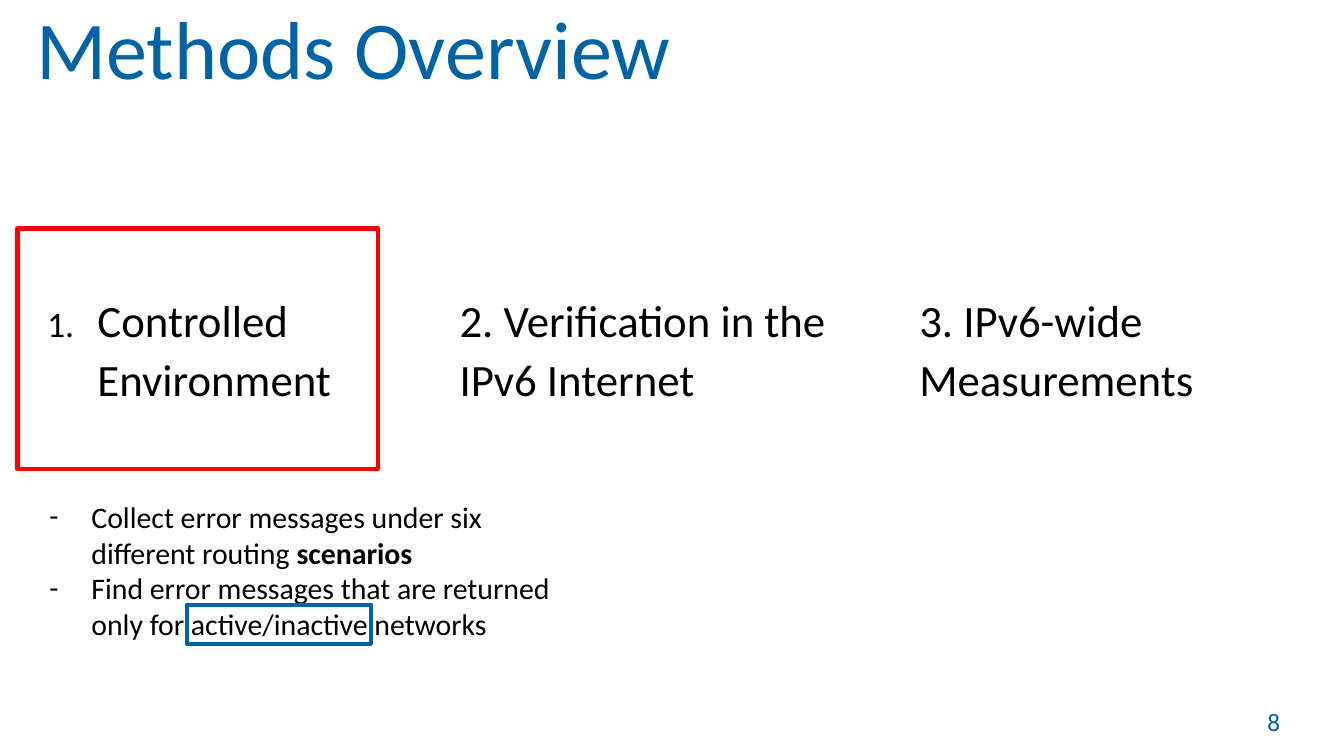
from lxml.etree import SubElement
from pptx import Presentation
from pptx.dml.color import RGBColor
from pptx.enum.shapes import MSO_SHAPE
from pptx.enum.text import MSO_ANCHOR, MSO_AUTO_SIZE, PP_ALIGN
from pptx.oxml.ns import qn
from pptx.util import Pt

BLUE, RED, BLACK = "0063A6", "FF0000", "000000"

TITLE = "Methods Overview"
PAGE_NUMBER = "8"
# left edge, step heading, is numbered by the list
STEPS = [
    (25.2, "Controlled Environment", True),
    (246.2, "2. Verification in the IPv6 Internet", False),
    (492.5, "3. IPv6-wide Measurements", False),
]
# each point is a list of (text, bold)
DETAILS = [
    [("Collect error messages\u00a0under six different routing ", False), ("scenarios", True)],
    [("Find error messages that are returned only for active/inactive networks", False)],
]
# left, top, width, height, line colour
HIGHLIGHTS = [
    (9.4, 122.4, 193, 128.9, RED),
    (100.1, 324, 98.6, 20.9, BLUE),
]


def rgb(code):
    return RGBColor.from_string(code)


def apply(target, values):
    for name, value in values.items():
        setattr(target, name, value)


def place(shape, left, top, width, height):
    apply(shape, {"left": Pt(left), "top": Pt(top), "width": Pt(width), "height": Pt(height)})


def prepare_frame(frame, inset=True, anchor=MSO_ANCHOR.TOP):
    apply(frame, {"word_wrap": True, "auto_size": MSO_AUTO_SIZE.NONE, "vertical_anchor": anchor})
    if not inset:
        apply(frame, {f"margin_{side}": 0 for side in ("left", "top", "right", "bottom")})
    return frame


def add_text_box(left, top, width, height, **frame_format):
    box = slide.shapes.add_textbox(Pt(left), Pt(top), Pt(width), Pt(height))
    return prepare_frame(box.text_frame, **frame_format)


def add_run(paragraph, text, size, color, bold=False):
    run = paragraph.add_run()
    run.text = text
    apply(run.font, {"name": "Calibri", "size": Pt(size), "bold": bold})
    run.font.color.rgb = rgb(color)


def add_bullet(paragraph, hang, tag, size_percent=100, **attributes):
    """Give the paragraph a hanging indent and a bullet element."""
    properties = paragraph._p.get_or_add_pPr()
    properties.set("marL", str(Pt(hang)))
    properties.set("indent", str(-Pt(hang)))
    SubElement(properties, qn("a:buSzPct"), val=str(size_percent * 1000))
    SubElement(properties, qn("a:buFont"), typeface="Calibri")
    SubElement(properties, qn(tag), **attributes)


def add_highlight(left, top, width, height, color):
    frame = slide.shapes.add_shape(
        MSO_SHAPE.RECTANGLE, Pt(left), Pt(top), Pt(width), Pt(height))
    frame.shadow.inherit = False
    frame.fill.background()
    frame.line.color.rgb = rgb(color)
    frame.line.width = Pt(2.25)


presentation = Presentation()
apply(presentation, {"slide_width": Pt(720), "slide_height": Pt(405)})
slide = presentation.slides.add_slide(presentation.slide_layouts[5])

title = slide.shapes.title
place(title, 19.4, 20.2, 680.4, 67.7)
heading = prepare_frame(title.text_frame, inset=False).paragraphs[0]
apply(heading, {"alignment": PP_ALIGN.LEFT, "line_spacing": Pt(31)})
add_run(heading, TITLE, 44, BLUE)

for left, step, numbered in STEPS:
    paragraph = add_text_box(
        left, 173.5, 212.4, 43.9, inset=False, anchor=MSO_ANCHOR.BOTTOM).paragraphs[0]
    apply(paragraph, {"line_spacing": 1.1, "space_after": Pt(3.8)})
    if numbered:
        add_bullet(paragraph, 27, "a:buAutoNum", 80, type="arabicPeriod")
    add_run(paragraph, step, 24, BLACK)

details = add_text_box(19.4, 263.5, 293.8, 85)
for index, point in enumerate(DETAILS):
    paragraph = details.add_paragraph() if index else details.paragraphs[0]
    add_bullet(paragraph, 22.5, "a:buChar", char="-")
    for text, bold in point:
        add_run(paragraph, text, 16, BLACK, bold)

for highlight in HIGHLIGHTS:
    add_highlight(*highlight)

page_number = add_text_box(671.8, 375.1, 28.1, 21.6).paragraphs[0]
add_run(page_number, PAGE_NUMBER, 13.5, BLUE)

presentation.save("out.pptx")
